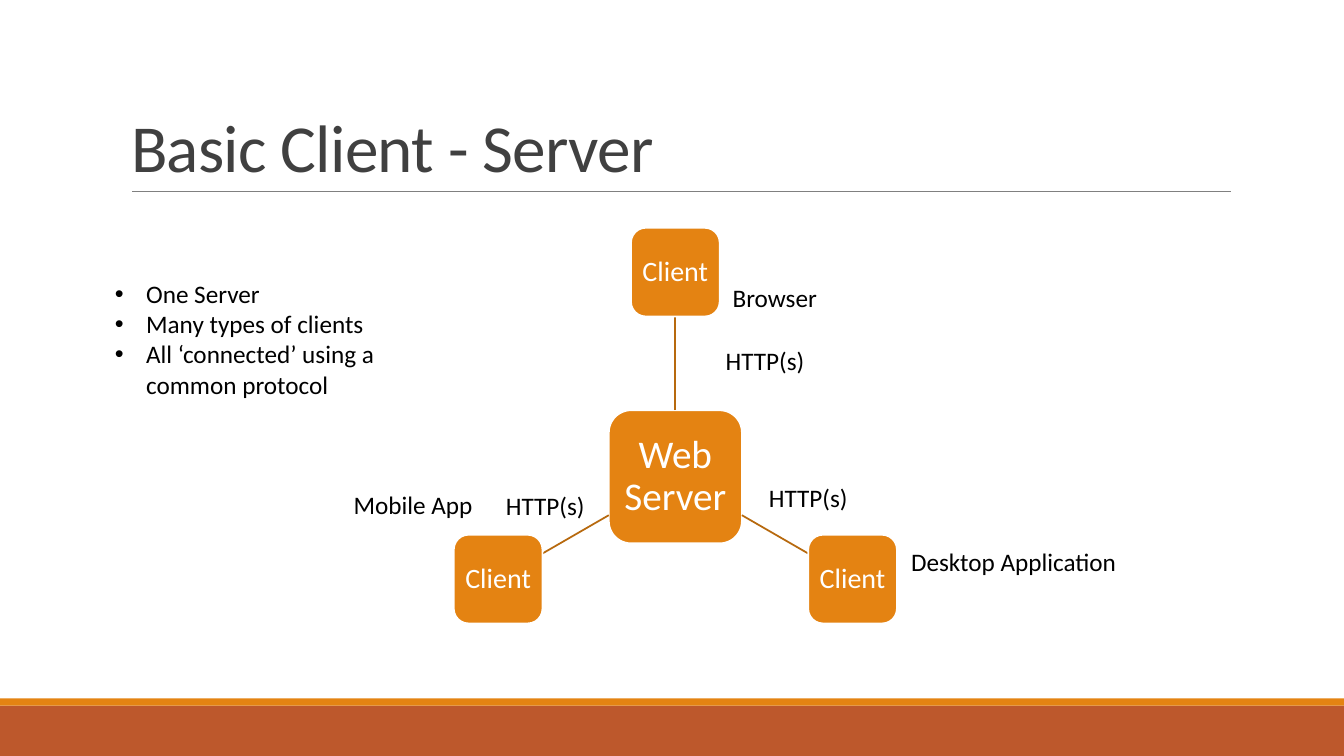
from dataclasses import dataclass
from math import cos, radians, sin

from lxml import etree
from pptx import Presentation
from pptx.dml.color import RGBColor
from pptx.enum import shapes, text
from pptx.oxml import ns
from pptx.util import Inches, Pt

FONT = "Calibri"
ORANGE = RGBColor(0xE4, 0x83, 0x12)
RUST = RGBColor(0xBD, 0x58, 0x2C)
BROWN = RGBColor(0xB7, 0x69, 0x0E)
GRAY = RGBColor(0x80, 0x80, 0x80)
DARK = RGBColor(0x40, 0x40, 0x40)
BLACK = RGBColor(0, 0, 0)
WHITE = RGBColor(0xFF, 0xFF, 0xFF)

SLIDE_W, SLIDE_H = 40 / 3, 7.5
HUB_X, HUB_Y, HUB_SIZE = 6.7, 4.73, 1.32
CLIENT_SIZE, RADIUS = 0.88, 2.03


@dataclass(frozen=True)
class Band:
    top: float
    height: float
    color: RGBColor


@dataclass(frozen=True)
class Node:
    caption: str
    x: float
    y: float
    size: float
    points: int
    inset: float


@dataclass(frozen=True)
class Label:
    caption: str
    left: float
    top: float
    width: float


BANDS = [Band(7, 0.5, RUST), Band(6.93, 0.07, ORANGE)]
LABELS = [
    Label("Browser", 7.17, 2.75, 1.77),
    Label("Desktop Application", 8.94, 5.37, 2.46),
    Label("Mobile App", 3.41, 4.81, 2.46),
    Label("HTTP(s)", 7.1, 3.38, 1.41),
    Label("HTTP(s)", 7.53, 4.74, 1.41),
    Label("HTTP(s)", 4.92, 4.82, 1.41),
]
POINTS = ["One Server", "Many types of clients",
          "All ‘connected’ using a common protocol"]


def place(sp, left: float, top: float, width: float, height: float) -> None:
    sp.left, sp.top = Inches(left), Inches(top)
    sp.width, sp.height = Inches(width), Inches(height)


def format_text(tf, points: int, color: RGBColor) -> None:
    for p in tf.paragraphs:
        for r in p.runs:
            r.font.name, r.font.size = FONT, Pt(points)
            r.font.color.rgb = color


def add_band(s, band: Band) -> None:
    sp = s.shapes.add_shape(
        shapes.MSO_SHAPE.RECTANGLE, 0, Inches(band.top),
        Inches(SLIDE_W), Inches(band.height))
    sp.shadow.inherit = False
    sp.fill.solid()
    sp.fill.fore_color.rgb = band.color
    sp.line.fill.background()


def add_line(s, x1: float, y1: float, x2: float, y2: float,
             color: RGBColor, width: float) -> None:
    line = s.shapes.add_connector(
        shapes.MSO_CONNECTOR.STRAIGHT,
        Inches(x1), Inches(y1), Inches(x2), Inches(y2))
    line.line.color.rgb = color
    line.line.width = Pt(width)
    etree.SubElement(line._element.spPr, ns.qn("a:effectLst"))


def add_node(s, node: Node) -> None:
    sp = s.shapes.add_shape(
        shapes.MSO_SHAPE.ROUNDED_RECTANGLE,
        Inches(node.x - node.size / 2), Inches(node.y - node.size / 2),
        Inches(node.size), Inches(node.size))
    sp.shadow.inherit = False
    sp.fill.solid()
    sp.fill.fore_color.rgb = ORANGE
    sp.line.color.rgb = WHITE
    sp.line.width = Pt(1.25)
    tf = sp.text_frame
    tf.text = node.caption
    tf.word_wrap = True
    tf.vertical_anchor = text.MSO_ANCHOR.MIDDLE
    tf.margin_left = tf.margin_right = Inches(node.inset)
    tf.margin_top = tf.margin_bottom = Inches(node.inset)
    p = tf.paragraphs[0]
    p.alignment = text.PP_ALIGN.CENTER
    p.line_spacing = 0.9
    format_text(tf, node.points, WHITE)


def add_client(s, angle: float) -> None:
    """Add a client at an angle clockwise from the top, joined to the hub."""
    dx, dy = sin(radians(angle)), -cos(radians(angle))
    x, y = HUB_X + RADIUS * dx, HUB_Y + RADIUS * dy
    reach = max(abs(dx), abs(dy))
    start = HUB_SIZE / 2 / reach
    end = RADIUS - CLIENT_SIZE / 2 / reach
    add_line(s, HUB_X + start * dx, HUB_Y + start * dy,
             HUB_X + end * dx, HUB_Y + end * dy, BROWN, 1.25)
    add_node(s, Node("Client", x, y, CLIENT_SIZE, 20, 0.04))


def add_label(s, label: Label) -> None:
    sp = s.shapes.add_textbox(Inches(label.left), Inches(label.top),
                              Inches(label.width), Inches(0.4))
    tf = sp.text_frame
    tf.text = label.caption
    tf.word_wrap = True
    format_text(tf, 18, BLACK)


def fill_title(sp) -> None:
    place(sp, 1.2, 0.31, 11, 1.59)
    tf = sp.text_frame
    tf.text = "Basic Client - Server"
    tf.auto_size = text.MSO_AUTO_SIZE.NONE
    tf.vertical_anchor = text.MSO_ANCHOR.BOTTOM
    p = tf.paragraphs[0]
    p.alignment = text.PP_ALIGN.LEFT
    p.line_spacing = 0.85
    format_text(tf, 48, DARK)
    p.runs[0].font._element.set("spc", "-50")


def fill_body(sp) -> None:
    place(sp, 1.04, 2.71, 3.16, 1.31)
    tf = sp.text_frame
    tf.text = "\n".join(POINTS)
    tf.auto_size = text.MSO_AUTO_SIZE.NONE
    for p in tf.paragraphs:
        p.space_before = Pt(0)
        pPr = p._p.get_or_add_pPr()
        pPr.set("marL", str(Inches(0.31)))
        pPr.set("indent", str(Inches(-0.31)))
        font = etree.SubElement(pPr, ns.qn("a:buFont"))
        font.set("typeface", "Arial")
        etree.SubElement(pPr, ns.qn("a:buChar")).set("char", "•")
    format_text(tf, 18, BLACK)


def main() -> None:
    prs = Presentation()
    prs.slide_width, prs.slide_height = Inches(SLIDE_W), Inches(SLIDE_H)
    s = prs.slides.add_slide(prs.slide_layouts[1])

    # Footer bands and title rule
    for band in BANDS:
        add_band(s, band)
    add_line(s, 1.31, 1.9, 12.21, 1.9, GRAY, 0.5)

    # Title and list
    fill_title(s.shapes.title)
    fill_body(s.placeholders[1])

    # Server with its clients around it
    add_node(s, Node("Web Server", HUB_X, HUB_Y, HUB_SIZE, 28, 0.07))
    for angle in (0, 120, 240):
        add_client(s, angle)

    # Client types and protocols
    for label in LABELS:
        add_label(s, label)

    prs.save("out.pptx")


if __name__ == "__main__":
    main()
